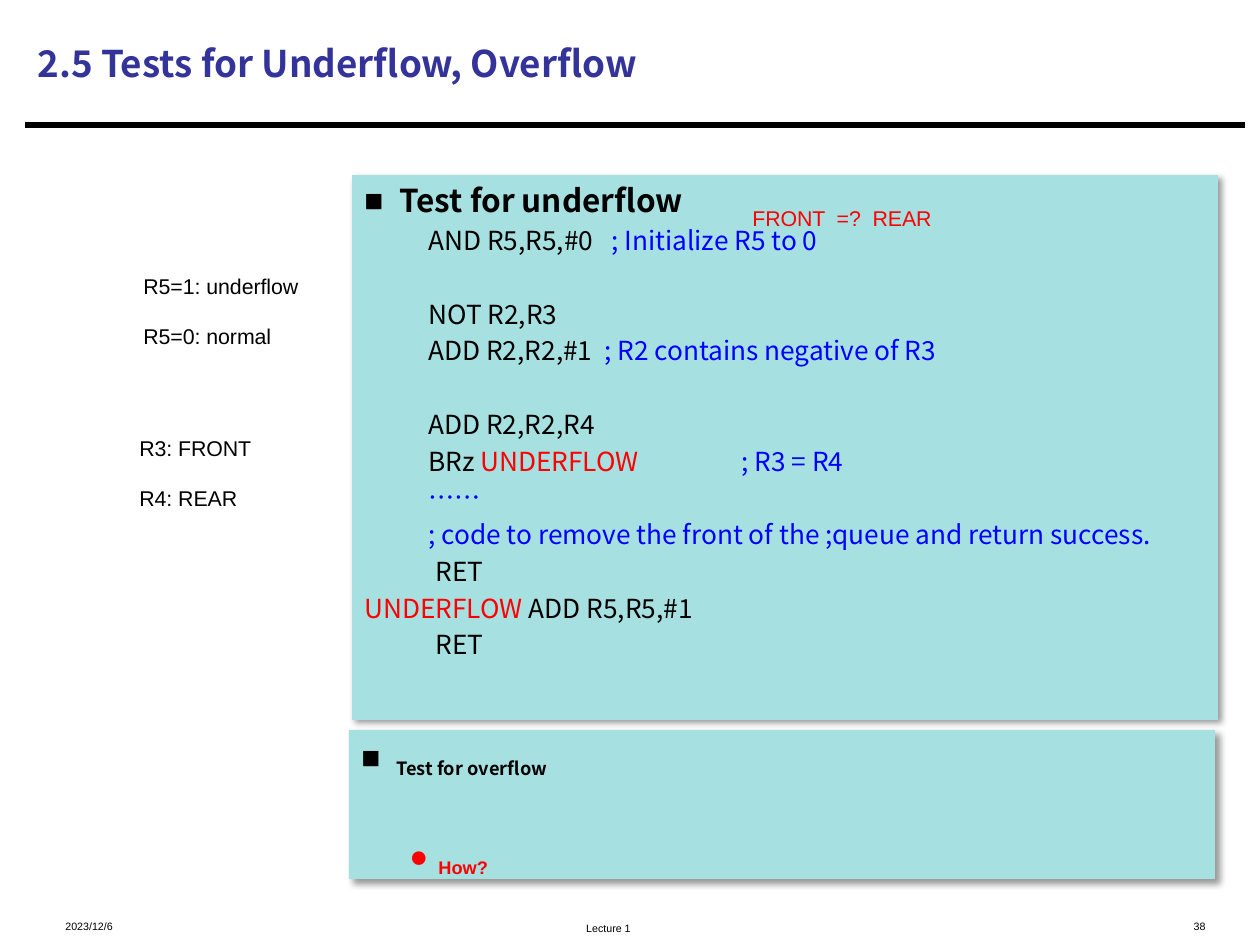
import pptx
import pptx.dml.color
import pptx.enum.shapes
import pptx.enum.text
import pptx.oxml
import pptx.oxml.ns
import pptx.util
from lxml import etree

PX = 914400 / 126
SANS, CJK = "Arial", "Noto Sans CJK SC"
BLACK, RED, BLUE, NAVY, TEAL = "000000", "FF0000", "0000FF", "333399", "A6E0E0"
ALIGN = pptx.enum.text.PP_ALIGN
ANCHOR = pptx.enum.text.MSO_ANCHOR


def px(length):
    return pptx.util.Emu(round(length * PX))


def color(hex_code):
    return pptx.dml.color.RGBColor.from_string(hex_code)


def child(parent, tag, **attributes):
    element = etree.SubElement(parent, pptx.oxml.ns.qn(tag))
    for key, value in attributes.items():
        element.set(key, str(value))
    return element


def write(paragraph, text, *, size=15, font=CJK, ink=BLACK, bold=False, lowered=False):
    run = paragraph.add_run()
    run.text = text
    run.font.size = pptx.util.Pt(size)
    run.font.name = font
    run.font.bold = bold
    run.font.color.rgb = color(ink)
    properties = run.font._element
    child(properties, "a:ea", typeface=font)
    if lowered:
        properties.set("baseline", "-25000")


def format_paragraph(paragraph, margin=0, hanging=0, bullet=None, bullet_ink=BLACK, before=0):
    paragraph.alignment = ALIGN.LEFT
    paragraph.space_before = pptx.util.Pt(before)
    properties = paragraph._p.get_or_add_pPr()
    properties.set("marL", str(px(margin)))
    properties.set("indent", str(-px(hanging)))
    if bullet:
        ink = child(properties, "a:buClr")
        child(ink, "a:srgbClr", val=bullet_ink)
        child(properties, "a:buFont", typeface=SANS)
        child(properties, "a:buChar", char=bullet)


class SlideBuilder:
    def __init__(self, slide):
        self.slide = slide

    def rule(self, x1, y1, x2, y2, width):
        line = self.slide.shapes.add_connector(
            pptx.enum.shapes.MSO_CONNECTOR.STRAIGHT, px(x1), px(y1), px(x2), px(y2))
        line.line.color.rgb = color(BLACK)
        line.line.width = pptx.util.Pt(width)
        child(line._element.spPr, "a:effectLst")

    def text(self, x, y, w, h, lines, align=ALIGN.LEFT, anchor=ANCHOR.TOP, wrap=True, **style):
        frame = self.slide.shapes.add_textbox(px(x), px(y), px(w), px(h)).text_frame
        frame.word_wrap = wrap
        frame.vertical_anchor = anchor
        for index, line in enumerate(lines):
            paragraph = frame.add_paragraph() if index else frame.paragraphs[0]
            paragraph.alignment = align
            write(paragraph, line, **style)

    def panel(self, x, y, w, h, heading, lowered=False):
        box = self.slide.shapes.add_shape(
            pptx.enum.shapes.MSO_SHAPE.RECTANGLE, px(x), px(y), px(w), px(h))
        box.fill.solid()
        box.fill.fore_color.rgb = color(TEAL)
        box.line.fill.background()
        box.shadow.inherit = False
        effects = box._element.spPr.find(pptx.oxml.ns.qn("a:effectLst"))
        shadow = child(effects, "a:outerShdw", blurRad=pptx.util.Pt(4),
                       dist=pptx.util.Pt(3), dir=45 * 60000, algn="tl", rotWithShape=0)
        child(child(shadow, "a:srgbClr", val=BLACK), "a:alpha", val=40000)
        frame = box.text_frame
        frame.word_wrap = True
        frame.vertical_anchor = ANCHOR.TOP
        format_paragraph(frame.paragraphs[0], 35, 35, "■")
        write(frame.paragraphs[0], heading, size=18, bold=True, lowered=lowered)
        return frame

    def code_line(self, frame, runs, start, before, comment):
        # A tab in the line jumps to the hanging margin, where the comment begins
        margin = comment or start
        paragraph = frame.add_paragraph()
        format_paragraph(paragraph, margin, margin - start, before=before)
        for text, ink in runs:
            write(paragraph, text, ink=ink)


def main():
    deck = pptx.Presentation()
    deck.slide_width, deck.slide_height = px(1260), px(945)
    page = SlideBuilder(deck.slides.add_slide(deck.slide_layouts[6]))

    # Heading
    page.rule(25, 125, 1245, 125, 3.75)
    page.text(25, 10, 1218, 106, ["2.5 Tests for Underflow, Overflow"],
              anchor=ANCHOR.MIDDLE, size=21, ink=NAVY, bold=True)

    # Underflow code
    underflow = page.panel(352, 175, 866, 545, "Test for underflow")
    code, ret, gap, block_gap = 64, 71, 3, 24
    listing = [
        (code, gap, 247, [("AND R5,R5,#0\t", BLACK), ("; Initialize R5 to 0", BLUE)]),
        (code, block_gap, None, [("NOT R2,R3", BLACK)]),
        (code, gap, 240, [("ADD R2,R2,#1\t", BLACK), ("; R2 contains negative of R3", BLUE)]),
        (code, block_gap, None, [("ADD R2,R2,R4", BLACK)]),
        (code, gap, 377, [("BRz ", BLACK), ("UNDERFLOW\t", RED), ("; R3 = R4", BLUE)]),
        (code, gap, None, [("……", BLUE)]),
        (code, gap, None,
         [("; code to remove the front of the ;queue and return success.", BLUE)]),
        (ret, gap, None, [("RET", BLACK)]),
        (0, gap, None, [("UNDERFLOW", RED), (" ADD R5,R5,#1", BLACK)]),
        (ret, gap, None, [("RET", BLACK)]),
    ]
    for start, before, comment, runs in listing:
        page.code_line(underflow, runs, start, before, comment)

    # Footer
    footer = {"size": 10.5, "font": SANS, "lowered": True}
    page.text(53, 901, 315, 34, ["2023/12/6"], **footer)
    page.text(388, 903, 441, 32, ["Lecture 1"], align=ALIGN.CENTER, **footer)
    page.text(840, 901, 378, 34, ["38"], align=ALIGN.RIGHT, **footer)

    # Register notes
    note = {"size": 21, "font": SANS, "lowered": True}
    page.text(131, 242, 205, 72, ["R5=1: underflow", "R5=0: normal"], wrap=False, **note)
    page.text(127, 404, 156, 72, ["R3: FRONT", "R4: REAR"], wrap=False, **note)
    page.text(740, 174, 338, 57, ["FRONT  =?  REAR"], ink=RED, **note)

    # Overflow question
    overflow = page.panel(349, 730, 866, 149, "Test for overflow", lowered=True)
    question = overflow.add_paragraph()
    format_paragraph(question, 77, 29, "●", RED, before=32)
    write(question, "How?", size=18, font=SANS, ink=RED, bold=True, lowered=True)

    deck.save("out.pptx")


if __name__ == "__main__":
    main()
